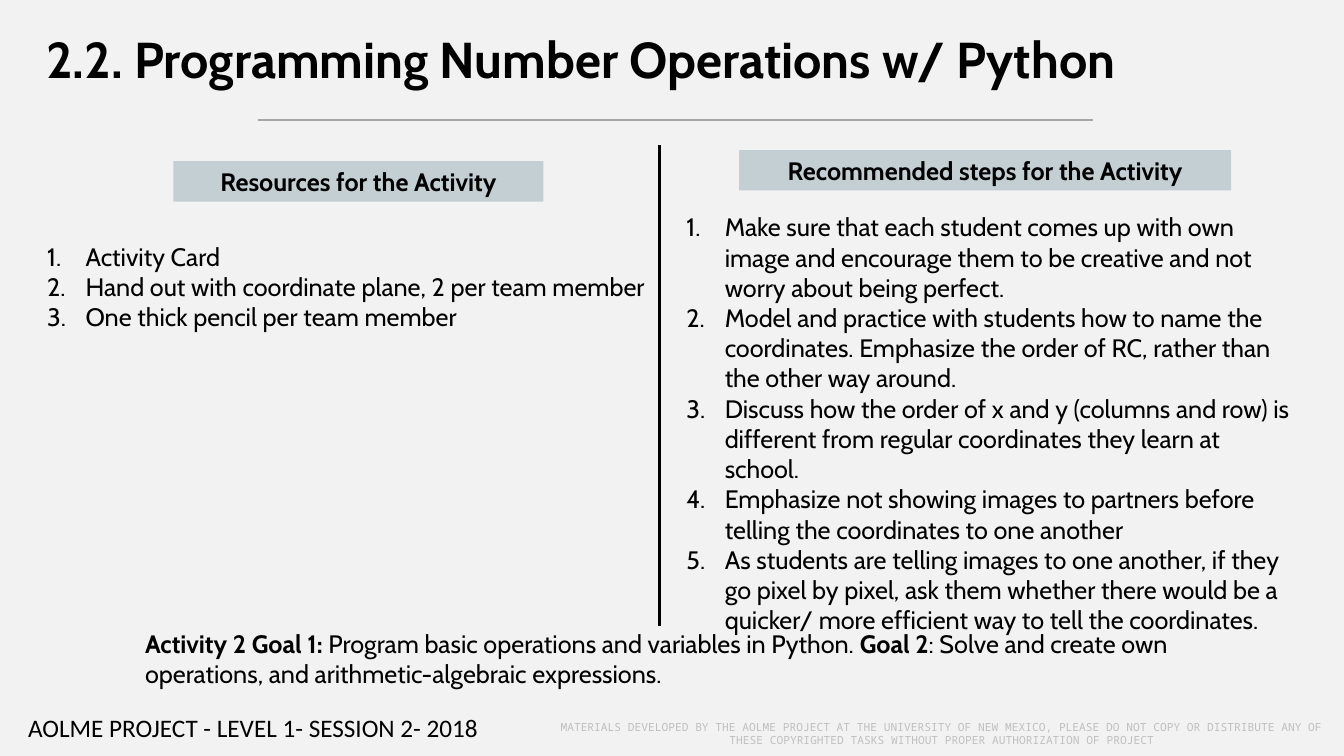
"""Build the activity slide on programming number operations."""
from dataclasses import dataclass
from typing import Optional

import pptx
import pptx.dml.color
import pptx.enum.shapes
import pptx.enum.text
import pptx.oxml.xmlchemy
import pptx.slide
import pptx.util
from pptx.dml.color import RGBColor
from pptx.enum.text import MSO_ANCHOR, PP_ALIGN
from pptx.util import Inches

BLACK = RGBColor(0x00, 0x00, 0x00)
BACKGROUND = RGBColor(0xF2, 0xF2, 0xF2)
BAND = RGBColor(0xC3, 0xCF, 0xD3)
RULE = RGBColor(0xA6, 0xA6, 0xA6)
NOTICE = RGBColor(0xBF, 0xBF, 0xBF)

Run = tuple[str, bool]


@dataclass
class Rule:
    begin: tuple[float, float]
    end: tuple[float, float]
    color: RGBColor
    width: float


@dataclass
class Block:
    box: tuple[float, float, float, float]
    paragraphs: list[list[Run]]
    size: int = 18
    font: str = "Cabin"
    color: RGBColor = BLACK
    fill: Optional[RGBColor] = None
    align: PP_ALIGN = PP_ALIGN.LEFT
    anchor: MSO_ANCHOR = MSO_ANCHOR.TOP
    wrap: bool = True
    numbered: bool = False


def plain(*lines: str) -> list[list[Run]]:
    return [[(line, False)] for line in lines]


def bold(line: str) -> list[list[Run]]:
    return [[(line, True)]]


RULES = [
    Rule((6.54, 6.21), (6.54, 1.44), BLACK, 2.25),
    Rule((2.56, 1.19), (10.84, 1.19), RULE, 1),
]

BLOCKS = [
    Block((0.36, 2.34, 6.18, 1.01), plain(
        "Activity Card",
        "Hand out with coordinate plane, 2 per team member",
        "One thick pencil per team member",
    ), numbered=True),
    Block((0.18, 7.02, 4.78, 0.4), plain("AOLME PROJECT - LEVEL 1- SESSION 2- 2018"),
          font="Calibri", wrap=False),
    Block((5.39, 7.09, 7.91, 0.37), plain(
        "MATERIALS DEVELOPED BY THE AOLME PROJECT AT THE UNIVERSITY OF NEW MEXICO, "
        "PLEASE DO NOT COPY OR DISTRIBUTE ANY OF THESE COPYRIGHTED TASKS WITHOUT "
        "PROPER AUTHORIZATION OF PROJECT",
    ), size=8, font="Noto Sans Mono", color=NOTICE, align=PP_ALIGN.CENTER,
        anchor=MSO_ANCHOR.MIDDLE),
    Block((1.72, 1.6, 3.67, 0.4), bold("Resources for the Activity"),
          fill=BAND, align=PP_ALIGN.CENTER),
    Block((7.33, 1.49, 4.88, 0.4), bold("Recommended steps for the Activity"),
          fill=BAND, align=PP_ALIGN.CENTER),
    Block((6.7, 2.05, 6.23, 4.04), plain(
        "Make sure that each student comes up with own image and encourage them to be "
        "creative and not worry about being perfect.",
        "Model and practice with students how to name the coordinates. Emphasize the "
        "order of RC, rather than the other way around.",
        "Discuss how the order of x and y (columns and row) is different from regular "
        "coordinates they learn at school.",
        "Emphasize not showing images to partners before telling the coordinates to "
        "one another",
        "As students are telling images to one another, if they go pixel by pixel, ask "
        "them whether there would be a quicker/ more efficient way to tell the "
        "coordinates.",
    ), numbered=True),
    Block((0.36, 0.23, 12.53, 0.71), bold("2.2. Programming Number Operations w/ Python"),
          size=36),
    Block((1.34, 6.18, 10.88, 0.71), [[
        ("Activity 2 Goal 1: ", True),
        ("Program basic operations and variables in Python. ", False),
        ("Goal 2", True),
        (": Solve and create own operations, and arithmetic-algebraic expressions.", False),
    ]]),
]


def add_rule(s: pptx.slide.Slide, rule: Rule) -> None:
    ends = [Inches(v) for v in (*rule.begin, *rule.end)]
    c = s.shapes.add_connector(pptx.enum.shapes.MSO_CONNECTOR.STRAIGHT, *ends)
    c.line.color.rgb = rule.color
    c.line.width = pptx.util.Pt(rule.width)
    c._element.spPr.append(pptx.oxml.xmlchemy.OxmlElement("a:effectLst"))


def add_number(p) -> None:
    pPr = p._p.get_or_add_pPr()
    pPr.set("marL", str(Inches(0.39)))
    pPr.set("indent", str(Inches(-0.38)))
    number = pptx.oxml.xmlchemy.OxmlElement("a:buAutoNum")
    number.set("type", "arabicPeriod")
    pPr.append(number)


def add_block(s: pptx.slide.Slide, block: Block) -> None:
    box = [Inches(v) for v in block.box]
    if block.fill is None:
        sp = s.shapes.add_textbox(*box)
    else:
        sp = s.shapes.add_shape(pptx.enum.shapes.MSO_SHAPE.RECTANGLE, *box)
        sp.shadow.inherit = False
        sp.fill.solid()
        sp.fill.fore_color.rgb = block.fill
        sp.line.fill.background()
    tf = sp.text_frame
    frame_format = {
        "word_wrap": block.wrap,
        "auto_size": pptx.enum.text.MSO_AUTO_SIZE.SHAPE_TO_FIT_TEXT,
        "vertical_anchor": block.anchor,
    }
    for name, value in frame_format.items():
        setattr(tf, name, value)
    for i, runs in enumerate(block.paragraphs):
        p = tf.add_paragraph() if i else tf.paragraphs[0]
        p.alignment = block.align
        if block.numbered:
            add_number(p)
        for text, is_bold in runs:
            r = p.add_run()
            r.text = text
            r.font.color.rgb = block.color
            font_format = {
                "name": block.font,
                "size": pptx.util.Pt(block.size),
                "bold": is_bold,
            }
            for name, value in font_format.items():
                setattr(r.font, name, value)


def main() -> None:
    prs = pptx.Presentation()
    prs.slide_width, prs.slide_height = Inches(13.33), Inches(7.5)
    s = prs.slides.add_slide(prs.slide_layouts[6])
    s.background.fill.solid()
    s.background.fill.fore_color.rgb = BACKGROUND
    for rule in RULES:
        add_rule(s, rule)
    for block in BLOCKS:
        add_block(s, block)
    prs.save("out.pptx")


if __name__ == "__main__":
    main()
